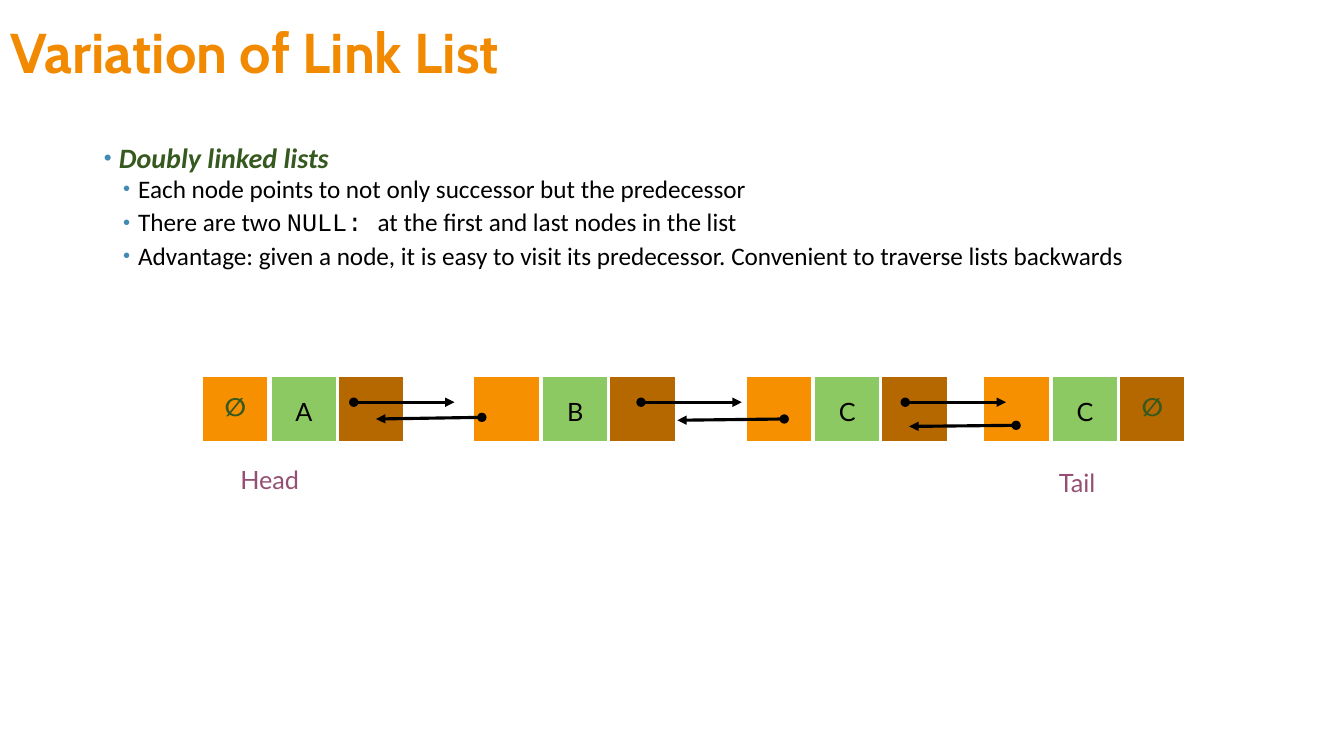
import pptx
import pptx.dml.color
import pptx.enum.shapes
import pptx.enum.text
import pptx.oxml
import pptx.oxml.ns
import pptx.util

Pt = pptx.util.Pt
RGBColor = pptx.dml.color.RGBColor
ALIGN = pptx.enum.text.PP_ALIGN
ANCHOR = pptx.enum.text.MSO_ANCHOR

ORANGE = RGBColor(0xF6, 0x90, 0x00)
BROWN = RGBColor(0xB5, 0x67, 0x00)
LIGHT_GREEN = RGBColor(0x8C, 0xC9, 0x63)
DARK_GREEN = RGBColor(0x36, 0x59, 0x1F)
TITLE_ORANGE = RGBColor(0xF1, 0x8A, 0x00)
BULLET_BLUE = RGBColor(0x41, 0x8A, 0xB3)
PLUM = RGBColor(0x95, 0x4F, 0x72)
BLACK = RGBColor(0, 0, 0)
WHITE = RGBColor(255, 255, 255)

CELL_SIZE = 48.2
CELL_TOP = 268
VALUE_OFFSET = 49
NEXT_OFFSET = 97
NULL_SIGN = "∅"

NODES = [
    (144, NULL_SIGN, "A", ""),
    (337.8, "", "B", ""),
    (532.2, "", "C", ""),
    (702, "", "C", NULL_SIGN),
]
ARROWS = [
    (252.7, 287.3, 324.7, 287.3),
    (344.2, 298.1, 268.6, 299.3),
    (457.9, 287.3, 529.9, 287.3),
    (560.2, 299.3, 483.8, 300.2),
    (646.6, 287.3, 718.6, 287.3),
    (725.8, 303.8, 649.4, 304.6),
]
POINTS = [
    [("Each node points to not only successor but the predecessor", "Calibri")],
    [
        ("There are two ", "Calibri"),
        ("NULL: ", "Courier New"),
        ("at the first and last nodes in the list", "Calibri"),
    ],
    [("Advantage: given a node, it is easy to visit its predecessor. "
      "Convenient to traverse lists backwards", "Calibri")],
]


def add_span(para, text, font="Lato", size=18, color=BLACK, bold=False, italic=False):
    span = para.add_run()
    span.text = text
    span.font.name = font
    span.font.size = Pt(size)
    span.font.color.rgb = color
    span.font.bold = bold
    span.font.italic = italic


def add_xml(parent, tag, **attributes):
    element = pptx.oxml.parse_xml(f"<a:{tag} {pptx.oxml.ns.nsdecls('a')}/>")
    for name, value in attributes.items():
        element.set(name, value)
    parent.append(element)
    return element


def place(box, left, top, width, height):
    box.left, box.top = Pt(left), Pt(top)
    box.width, box.height = Pt(width), Pt(height)


def format_bullet(para, level, indent, before, after):
    para.level = level
    para.line_spacing = 0.9
    para.space_before = Pt(before)
    para.space_after = Pt(after)
    properties = para._p.get_or_add_pPr()
    properties.set("marL", str(Pt(indent)))
    properties.set("indent", str(Pt(-10.8)))
    color = add_xml(properties, "buClr")
    add_xml(color, "srgbClr", val=str(BULLET_BLUE))
    add_xml(properties, "buSzPct", val="80000")
    add_xml(properties, "buFont", typeface="Arial")
    add_xml(properties, "buChar", char="•")


def fill_title(title):
    place(title, 0, 13.7, 833.8, 51.1)
    title.text_frame.vertical_anchor = ANCHOR.MIDDLE
    para = title.text_frame.paragraphs[0]
    para.alignment = ALIGN.LEFT
    para.line_spacing = 0.9
    add_span(para, "Variation of Link List", font="Cabin", size=40,
             color=TITLE_ORANGE, bold=True)


def fill_body(body):
    place(body, 64.1, 99.4, 812.9, 342)
    frame = body.text_frame
    frame.vertical_anchor = ANCHOR.TOP
    frame.auto_size = pptx.enum.text.MSO_AUTO_SIZE.NONE
    heading = frame.paragraphs[0]
    format_bullet(heading, 0, 13.7, 10, 0)
    add_span(heading, "Doubly linked lists", font="Calibri", size=20,
             color=DARK_GREEN, bold=True, italic=True)
    for point in POINTS:
        para = frame.add_paragraph()
        format_bullet(para, 1, 27.4, 1.5, 3)
        for text, font in point:
            add_span(para, text, font=font)


def add_cell(page, left, text, fill):
    cell = page.shapes.add_shape(
        pptx.enum.shapes.MSO_SHAPE.RECTANGLE,
        Pt(left), Pt(CELL_TOP), Pt(CELL_SIZE), Pt(CELL_SIZE))
    cell.shadow.inherit = False
    cell.fill.solid()
    cell.fill.fore_color.rgb = fill
    cell.line.color.rgb = WHITE
    cell.line.width = Pt(2.25)
    if text:
        is_null = text == NULL_SIGN
        frame = cell.text_frame
        frame.vertical_anchor = ANCHOR.MIDDLE
        frame.margin_top = Pt(0 if is_null else 4)
        frame.margin_bottom = Pt(3 if is_null else 0)
        para = frame.paragraphs[0]
        para.alignment = ALIGN.CENTER
        add_span(para, text, color=DARK_GREEN if is_null else BLACK, bold=is_null)


def add_node(page, left, previous, value, following):
    add_cell(page, left, previous, ORANGE)
    add_cell(page, left + VALUE_OFFSET, value, LIGHT_GREEN)
    add_cell(page, left + NEXT_OFFSET, following, BROWN)


def add_arrow(page, *ends):
    arrow = page.shapes.add_connector(
        pptx.enum.shapes.MSO_CONNECTOR.STRAIGHT, *(Pt(end) for end in ends))
    arrow.line.color.rgb = BLACK
    arrow.line.width = Pt(2.25)
    line = arrow.line._get_or_add_ln()
    add_xml(line, "headEnd", type="oval")
    add_xml(line, "tailEnd", type="triangle")
    add_xml(arrow._element.spPr, "effectLst")


def add_label(page, text, left, top):
    box = page.shapes.add_textbox(Pt(left), Pt(top), Pt(97.2), Pt(28.8))
    box.text_frame.word_wrap = True
    para = box.text_frame.paragraphs[0]
    para.alignment = ALIGN.CENTER
    add_span(para, text, color=PLUM)


def main():
    deck = pptx.Presentation()
    deck.slide_width, deck.slide_height = Pt(960), Pt(540)
    page = deck.slides.add_slide(deck.slide_layouts[1])
    fill_title(page.shapes.title)
    fill_body(page.placeholders[1])
    for node in NODES:
        add_node(page, *node)
    for arrow in ARROWS:
        add_arrow(page, *arrow)
    add_label(page, "Head", 144, 328.3)
    add_label(page, "Tail", 720.7, 330.5)
    deck.save("out.pptx")


if __name__ == "__main__":
    main()
